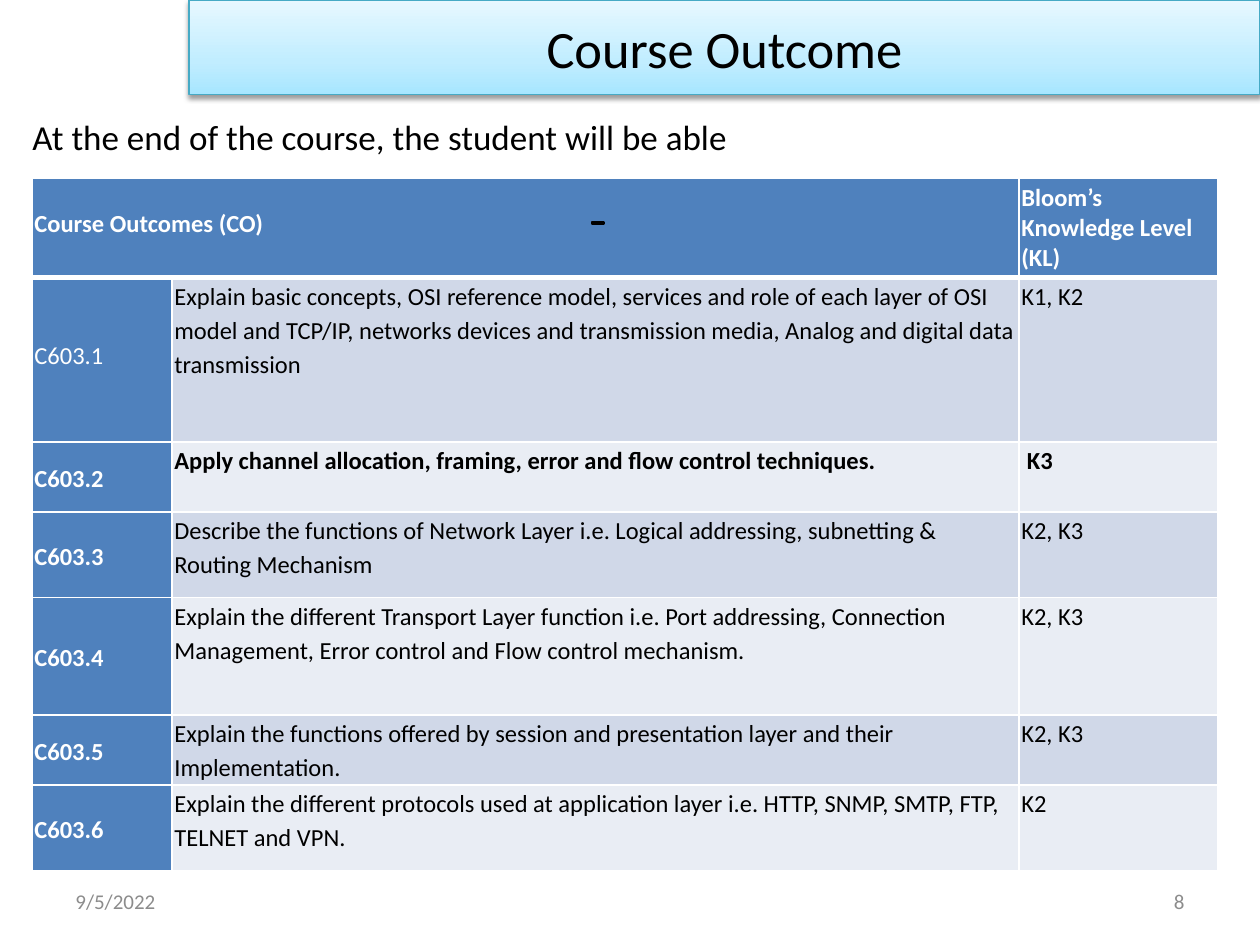
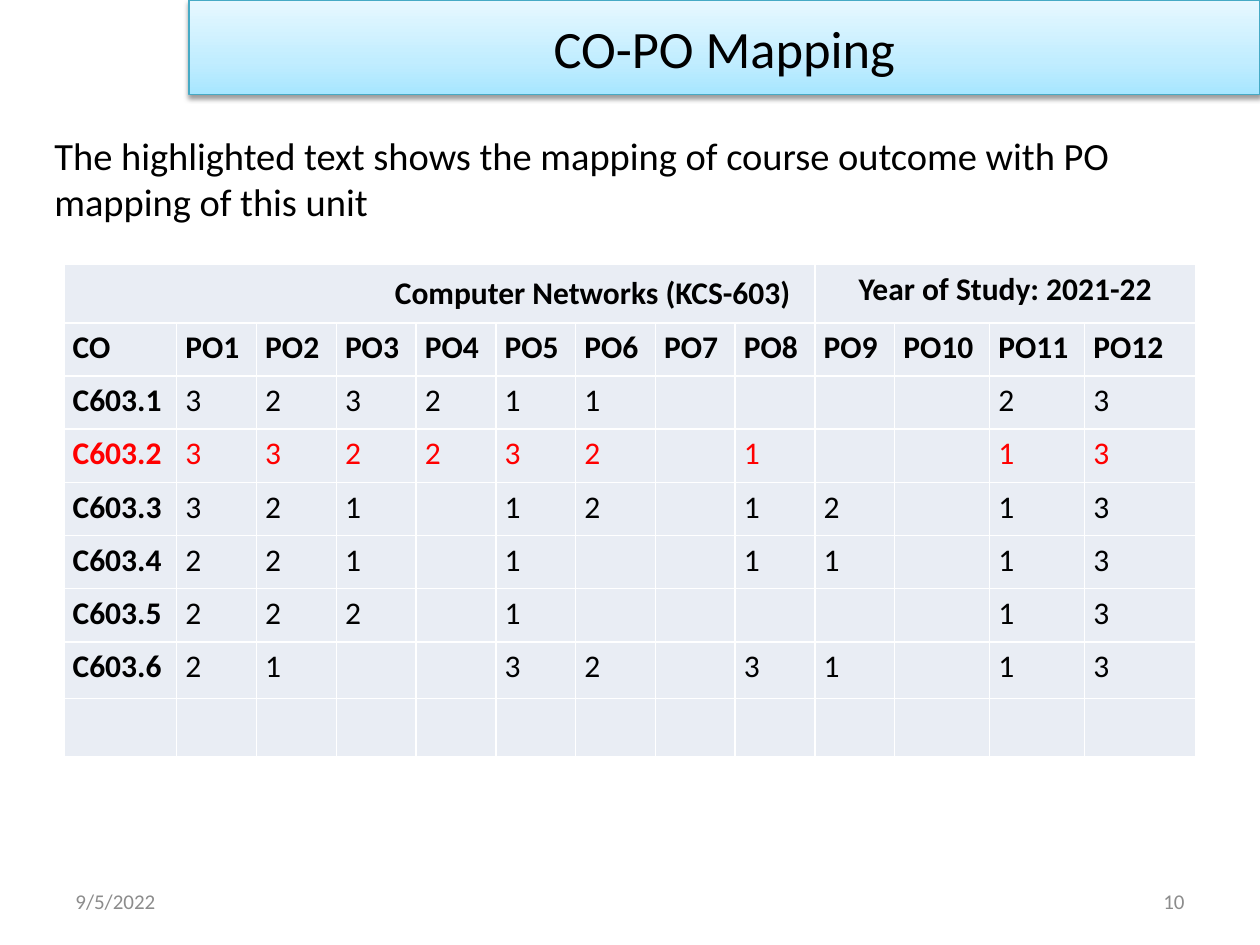
from copy import deepcopy

from lxml.etree import SubElement
from pptx import Presentation
from pptx.dml.color import RGBColor
from pptx.enum.shapes import MSO_SHAPE as Shape
from pptx.enum.text import MSO_ANCHOR as Anchor, PP_ALIGN as Align
from pptx.oxml import parse_xml
from pptx.oxml.ns import nsdecls, qn
from pptx.util import Pt

FONT = "Calibri"
BLACK, WHITE, RED, GREY = "000000", "FFFFFF", "FF0000", "8C8C8C"
BLUE, BAND_DARK, BAND_LIGHT = "4F81BD", "D0D8E8", "E9EDF4"
TITLE_LINE = "46AAC5"
TITLE_STOPS = [(0, "A7E6FF"), (0.35, "C1EDFF"), (1, "E7F8FF")]
DATE = "9/5/2022"
TIGHT_LINE = Pt(12.7)

OUTCOMES = [
    ("C603.1", "Explain basic concepts, OSI reference model, services and role of each layer of OSI "
     "model and TCP/IP, networks devices and transmission media, Analog and digital data "
     "transmission", "K1, K2"),
    ("C603.2", "Apply channel allocation, framing, error and flow control techniques.", " K3"),
    ("C603.3", "Describe the functions of Network Layer i.e. Logical addressing, subnetting & "
     "Routing Mechanism", "K2, K3"),
    ("C603.4", "Explain the different Transport Layer function i.e. Port addressing, Connection "
     "Management, Error control and Flow control mechanism.", "K2, K3"),
    ("C603.5", "Explain the functions offered by session and presentation layer and their "
     "Implementation.", "K2, K3"),
    ("C603.6", "Explain the different protocols used at application layer i.e. HTTP, SNMP, SMTP, FTP, "
     "TELNET and VPN.", "K2"),
]
UNIT_OUTCOME = "C603.2"

PO_LEVELS = {
    "C603.1": [3, 2, 3, 2, 1, 1, "", "", "", "", 2, 3],
    "C603.2": [3, 3, 2, 2, 3, 2, "", 1, "", "", 1, 3],
    "C603.3": [3, 2, 1, "", 1, 2, "", 1, 2, "", 1, 3],
    "C603.4": [2, 2, 1, "", 1, "", "", 1, 1, "", 1, 3],
    "C603.5": [2, 2, 2, "", 1, "", "", "", "", "", 1, 3],
    "C603.6": [2, 1, "", "", 3, 2, "", 3, 1, "", 1, 3],
}


def rgb(value):
    return RGBColor.from_string(value)


def write(frame, text, size=14, color=BLACK, bold=False, align=Align.LEFT, line=None):
    para = frame.paragraphs[0]
    para.alignment = align
    para.line_spacing = line
    if text:
        span = para.add_run()
        span.text = text
        span.font.name = FONT
        span.font.size = Pt(size)
        span.font.bold = bold
        span.font.color.rgb = rgb(color)
    else:
        para.font.size = Pt(size)


def add_text(page, left, top, width, height, text, anchor=Anchor.TOP, **style):
    box = page.shapes.add_textbox(Pt(left), Pt(top), Pt(width), Pt(height))
    box.text_frame.word_wrap = True
    box.text_frame.vertical_anchor = anchor
    write(box.text_frame, text, **style)


def add_title(page, text):
    title = page.shapes.title
    title.left, title.top, title.width, title.height = Pt(108), Pt(0), Pt(612), Pt(54)
    title.fill.gradient()
    title.fill.gradient_angle = 90
    stop_list = title.element.find(".//" + qn("a:gsLst"))
    stop_list.append(deepcopy(stop_list[-1]))
    for stop, (position, color) in zip(title.fill.gradient_stops, TITLE_STOPS):
        stop.position = position
        stop.color.rgb = rgb(color)
    title.line.color.rgb = rgb(TITLE_LINE)
    title.line.width = Pt(0.75)
    title.shadow.inherit = False
    effects = title.element.spPr.find(qn("a:effectLst"))
    shadow = SubElement(effects, qn("a:outerShdw"), blurRad=str(Pt(3.1)), dist=str(Pt(1.6)),
                        dir="5400000", rotWithShape="0")
    tint = SubElement(shadow, qn("a:srgbClr"), val=BLACK)
    SubElement(tint, qn("a:alpha"), val="38000")
    title.text_frame.vertical_anchor = Anchor.MIDDLE
    write(title.text_frame, text, size=30, align=Align.CENTER)


def add_page(deck, title, number):
    page = deck.slides.add_slide(deck.slide_layouts[5])
    add_title(page, title)
    for left, text, align in [(36, DATE, Align.LEFT), (516, number, Align.RIGHT)]:
        add_text(page, left, 500.5, 168, 28.75, text, anchor=Anchor.MIDDLE,
                 size=12, color=GREY, align=align)
    return page


def add_grid(page, left, top, widths, heights):
    frame = page.shapes.add_table(len(heights), len(widths), Pt(left), Pt(top),
                                  Pt(sum(widths)), Pt(sum(heights)))
    table = frame.table
    table.first_row = table.horz_banding = False
    for column, width in zip(table.columns, widths):
        column.width = Pt(width)
    for row, height in zip(table.rows, heights):
        row.height = Pt(height)
    return table


def set_borders(cell, bottom):
    sides = [("L", 1), ("R", 1), ("T", 1), ("B", bottom)]
    for index, (side, width) in enumerate(sides):
        border = parse_xml(
            f'<a:ln{side} {nsdecls("a")} w="{Pt(width)}"><a:solidFill>'
            f'<a:srgbClr val="{WHITE}"/></a:solidFill></a:ln{side}>')
        cell._tc.get_or_add_tcPr().insert(index, border)


def fill_cell(cell, text, fill, inset, anchor=Anchor.TOP, bottom=1, line=1.15, **style):
    cell.fill.solid()
    cell.fill.fore_color.rgb = rgb(fill)
    cell.margin_left = cell.margin_right = Pt(inset)
    cell.margin_top = cell.margin_bottom = 0
    cell.vertical_anchor = anchor
    set_borders(cell, bottom)
    write(cell.text_frame, text, line=line, **style)


def add_outcome_table(page):
    table = add_grid(page, 18.25, 102, [80, 484, 113.5], [56.5, 94, 40, 49, 67, 40, 49])
    heading = dict(fill=BLUE, inset=1.4, anchor=Anchor.MIDDLE, color=WHITE)
    table.cell(0, 0).merge(table.cell(0, 1))
    titles = [("Course Outcomes (CO)", TIGHT_LINE), ("", None), ("Bloom’s Knowledge Level (KL)", 1)]
    for column, (text, line) in enumerate(titles):
        fill_cell(table.cell(0, column), text, bottom=3, bold=True, line=line, **heading)
    for row, (code, outcome, level) in enumerate(OUTCOMES, 1):
        first = row == 1
        fill_cell(table.cell(row, 0), code, bold=not first,
                  line=TIGHT_LINE if first else 1.15, **heading)
        band = BAND_DARK if row % 2 else BAND_LIGHT
        for column, text in enumerate([outcome, level], 1):
            fill_cell(table.cell(row, column), text, band, 1.4, bold=code == UNIT_OUTCOME)


def add_dash(page):
    dash = page.shapes.add_shape(Shape.RECTANGLE, Pt(338.4), Pt(126.7), Pt(6.5), Pt(1.4))
    dash.shadow.inherit = False
    dash.fill.solid()
    dash.fill.fore_color.rgb = rgb(BLACK)
    dash.line.color.rgb = rgb(BLACK)
    dash.line.width = Pt(1.42)


def add_mapping_table(page):
    widths = [64.5] + [45.6] * 9 + [54.3] * 2 + [63.5]
    heights = [33.5] + [30.4] * 6 + [32.5, 33]
    table = add_grid(page, 36.5, 151, widths, heights)
    table.cell(0, 0).merge(table.cell(0, 8))
    table.cell(0, 9).merge(table.cell(0, 12))
    header = ["CO"] + [f"PO{number}" for number in range(1, 13)]
    rows = [header] + [[code, *levels] for code, levels in PO_LEVELS.items()] + [[""] * 13]
    style = dict(fill=BAND_LIGHT, inset=5, size=18)
    for column in range(13):
        text, align = {0: ("Computer Networks (KCS-603)", Align.RIGHT),
                       9: ("Year of Study: 2021-22", Align.CENTER)}.get(column, ("", Align.LEFT))
        fill_cell(table.cell(0, column), text, bold=True, align=align, **style)
    course = table.cell(0, 0)
    course.margin_right, course.margin_top = Pt(14), Pt(2.5)
    for row, values in enumerate(rows, 1):
        color = RED if values[0] == UNIT_OUTCOME else BLACK
        for column, value in enumerate(values):
            fill_cell(table.cell(row, column), str(value), color=color,
                      bold=row == 1 or column == 0, **style)


def main():
    deck = Presentation()
    deck.slide_width, deck.slide_height = Pt(720), Pt(540)

    page = add_page(deck, "Course Outcome", "8")
    add_text(page, 11.5, 62.6, 440, 31.5, "At the end of the course, the student will be able", size=20)
    add_outcome_table(page)
    add_dash(page)

    page = add_page(deck, "CO-PO Mapping", "10")
    add_text(page, 24, 72, 660, 60.5, "The highlighted text shows the mapping of course outcome "
             "with PO mapping of this unit", size=22)
    add_mapping_table(page)

    deck.save("out.pptx")


if __name__ == "__main__":
    main()
